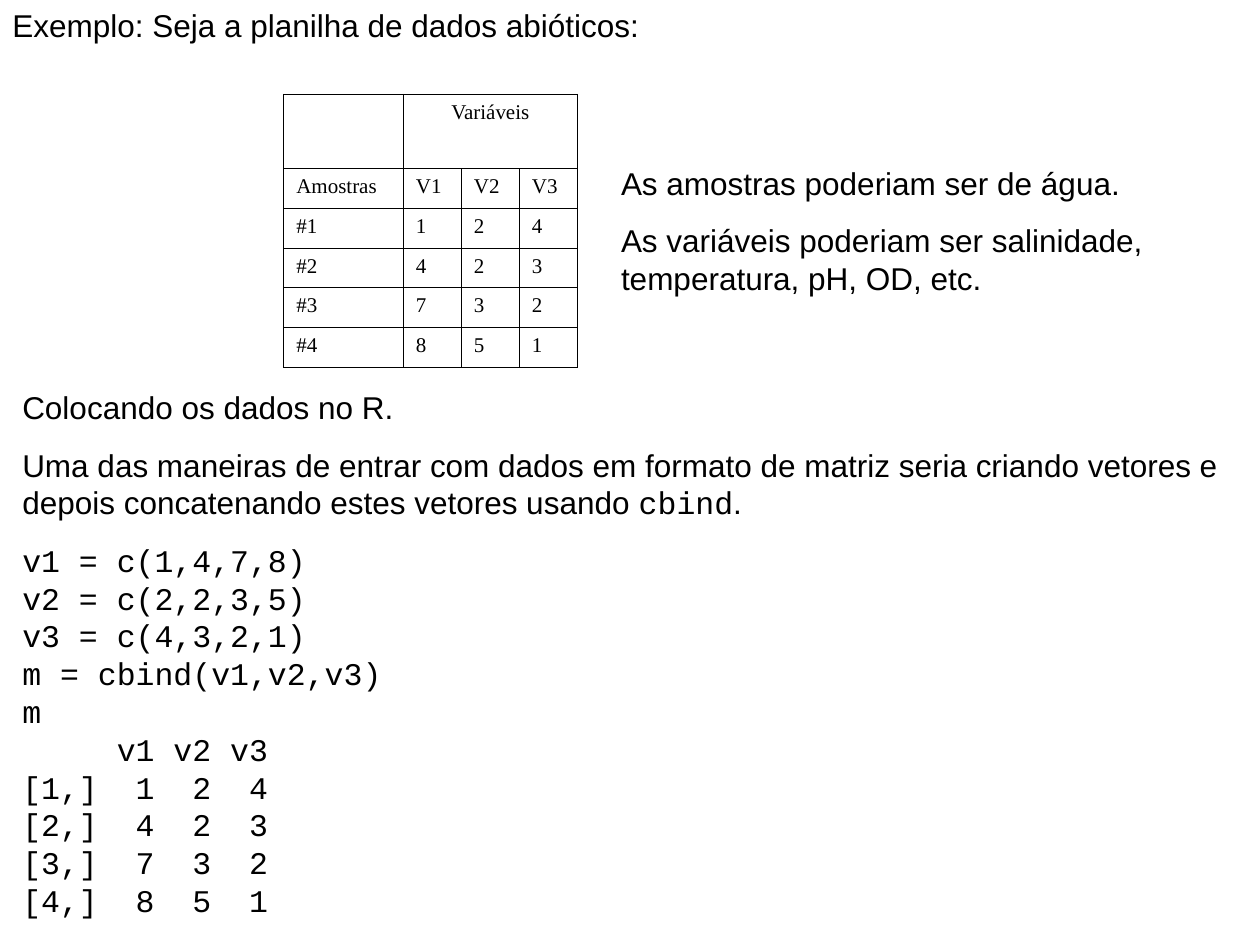
from lxml import etree
from pptx import Presentation
from pptx import util as u
from pptx.dml.color import RGBColor
from pptx.enum import text
from pptx.oxml import ns

SANS, MONO, SERIF = "Arial", "Courier New", "Times New Roman"
BLACK = "000000"
GAP = 11.2

TITLE = ["Exemplo: Seja a planilha de dados abióticos:"]
NOTES = [
    "As amostras poderiam ser de água.",
    "As variáveis poderiam ser salinidade, temperatura, pH, OD, etc.",
]
STEPS = [
    "Colocando os dados no R.",
    [
        ("Uma das maneiras de entrar com dados em formato de matriz seria criando "
         "vetores e depois concatenando estes vetores usando ", SANS),
        ("cbind", MONO),
        (".", SANS),
    ],
]
CODE = [
    "v1 = c(1,4,7,8)",
    "v2 = c(2,2,3,5)",
    "v3 = c(4,3,2,1)",
    "m = cbind(v1,v2,v3)",
    "m",
    "     v1 v2 v3",
    "[1,]  1  2  4",
    "[2,]  4  2  3",
    "[3,]  7  3  2",
    "[4,]  8  5  1",
]
SAMPLES = [
    ["", "Variáveis", "", ""],
    ["Amostras", "V1", "V2", "V3"],
    ["#1", "1", "2", "4"],
    ["#2", "4", "2", "3"],
    ["#3", "7", "3", "2"],
    ["#4", "8", "5", "1"],
]
COL_WIDTHS = [2.41, 1.17, 1.17, 1.17]
ROW_HEIGHTS = [1.5] + [0.8] * 5


def color(value):
    return RGBColor.from_string(value)


def write(p, content, font=SANS, size=18, before=0, align=text.PP_ALIGN.LEFT):
    p.alignment = align
    p.space_before = u.Pt(before)
    runs = [(content, font)] if isinstance(content, str) else content
    for words, name in runs:
        r = p.add_run()
        r.text = words
        r.font.name = name
        r.font.size = u.Pt(size)
        r.font.color.rgb = color(BLACK)


def add_text(s, box, paragraphs):
    tf = s.shapes.add_textbox(*map(u.Cm, box)).text_frame
    tf.word_wrap = True
    for i, (content, fmt) in enumerate(paragraphs):
        p = tf.paragraphs[0] if i == 0 else tf.add_paragraph()
        write(p, content, **fmt)


def spaced(contents):
    return [(c, {"before": GAP if i else 0}) for i, c in enumerate(contents)]


def add_borders(cell, value=BLACK, points=0.45):
    tcPr = cell._tc.get_or_add_tcPr()
    for side in ("lnL", "lnR", "lnT", "lnB"):
        ln = etree.SubElement(tcPr, ns.qn("a:" + side), w=str(u.Pt(points)))
        fill = etree.SubElement(ln, ns.qn("a:solidFill"))
        etree.SubElement(fill, ns.qn("a:srgbClr"), val=value)


def add_samples(s, left, top):
    size = sum(COL_WIDTHS), sum(ROW_HEIGHTS)
    table = s.shapes.add_table(len(SAMPLES), len(COL_WIDTHS),
                               *map(u.Cm, (left, top, *size))).table
    table.first_row = table.horz_banding = False
    for column, width in zip(table.columns, COL_WIDTHS):
        column.width = u.Cm(width)
    for row, height, values in zip(table.rows, ROW_HEIGHTS, SAMPLES):
        row.height = u.Cm(height)
        for cell, value in zip(row.cells, values):
            add_borders(cell)
            cell.fill.background()
            if value:
                align = text.PP_ALIGN.CENTER if value == "Variáveis" else text.PP_ALIGN.LEFT
                write(cell.text_frame.paragraphs[0], value, font=SERIF, size=12, align=align)
    table.cell(0, 1).merge(table.cell(0, 3))


def main():
    prs = Presentation()
    prs.slide_width, prs.slide_height = u.Cm(25.4), u.Cm(19.05)
    s = prs.slides.add_slide(prs.slide_layouts[6])
    add_text(s, (0, 0, 25.4, 1.02), spaced(TITLE))
    add_samples(s, 5.72, 1.9)
    add_text(s, (12.27, 3.18, 12.5, 2.95), spaced(NOTES))
    code = [(line, {"font": MONO, "before": 0 if i else GAP}) for i, line in enumerate(CODE)]
    add_text(s, (0.2, 7.7, 25.4, 10.97), spaced(STEPS) + code)
    prs.save("out.pptx")


if __name__ == "__main__":
    main()
